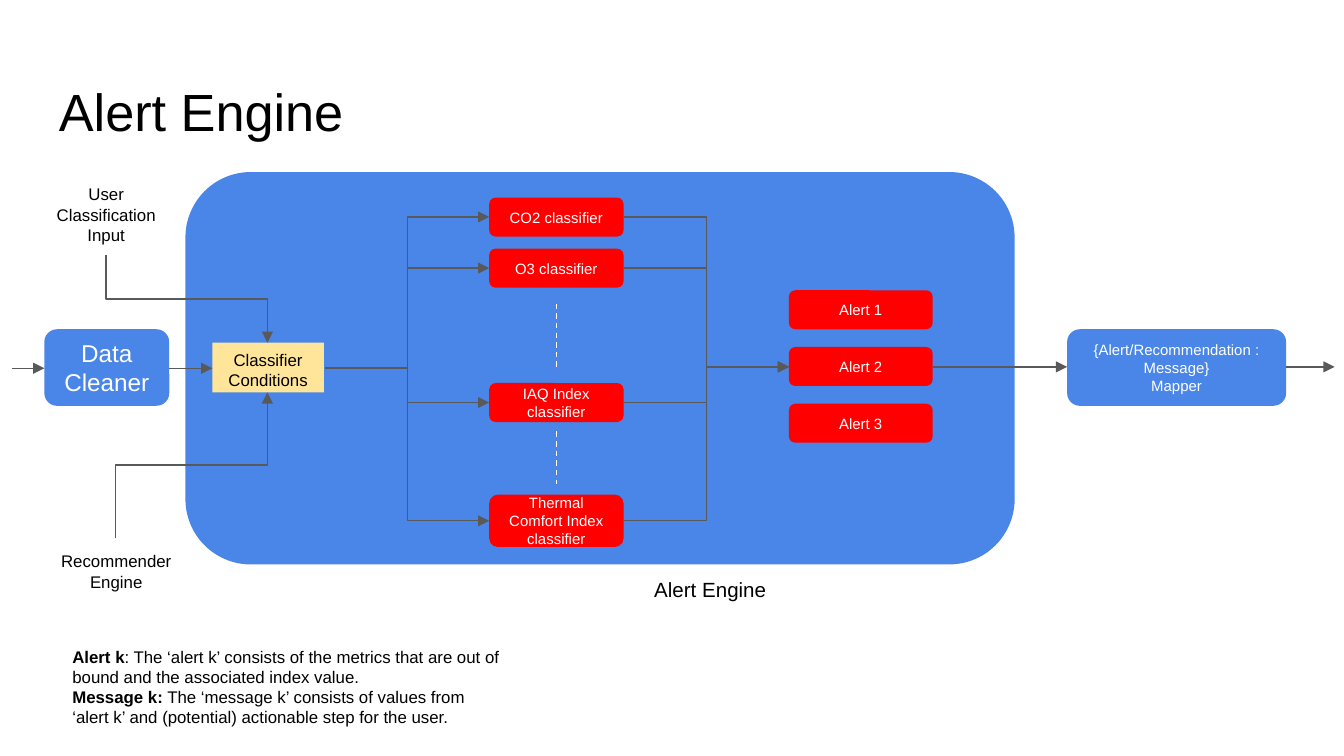
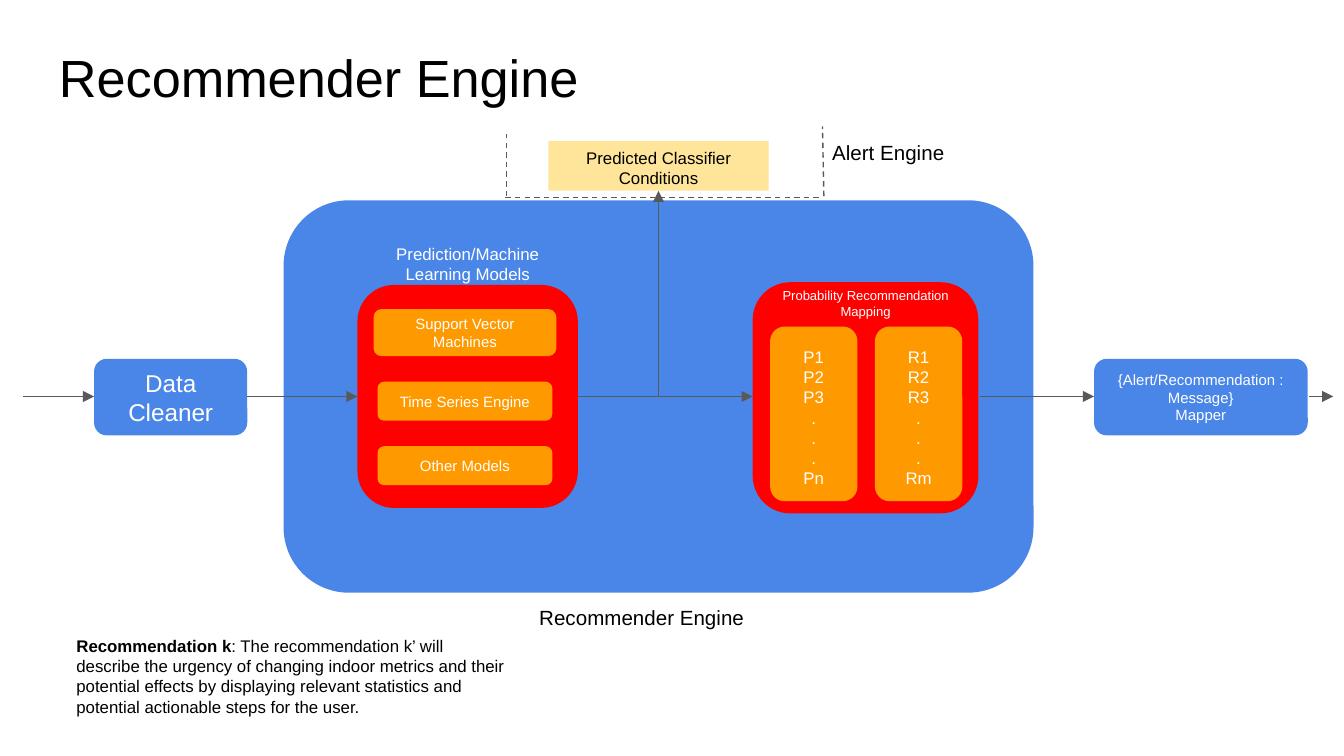
from lxml.etree import SubElement
from pptx import Presentation
from pptx.dml.color import RGBColor
from pptx.enum.dml import MSO_LINE
from pptx.enum.shapes import MSO_CONNECTOR as Connector, MSO_SHAPE as Shape
from pptx.enum.text import MSO_ANCHOR as Anchor, PP_ALIGN as Align
from pptx.oxml.ns import qn
from pptx.util import Inches, Pt

COLUMNS, ROWS = 100, 56.25
CELL = Inches(10) / COLUMNS
FONT = "Arial"
BLUE, RED, ORANGE, CREAM = "4A86E8", "FF0000", "FF9900", "FFE599"
GREY, WHITE, BLACK = "595959", "FFFFFF", "000000"
MAPPER = ["{Alert/Recommendation : Message}", "Mapper"]


def color(code):
    return RGBColor.from_string(code)


def cells(*counts):
    return [round(count * CELL) for count in counts]


def apply(target, formats):
    for name, value in formats.items():
        setattr(target, name, value)


def write(shape, paras, size, ink, align=Align.CENTER, anchor=Anchor.TOP, pad=1):
    side, edge = cells(1, pad)
    frame = shape.text_frame
    apply(frame, {"word_wrap": True, "vertical_anchor": anchor,
                  "margin_left": side, "margin_right": side,
                  "margin_top": edge, "margin_bottom": edge})
    for index, content in enumerate(paras):
        para = frame.paragraphs[0] if index == 0 else frame.add_paragraph()
        para.alignment = align
        lead, rest = content if isinstance(content, tuple) else ("", content)
        for words, bold in ((lead, True), (rest, False)):
            if words:
                span = para.add_run()
                span.text = words
                apply(span.font, {"name": FONT, "size": Pt(size), "bold": bold})
                span.font.color.rgb = color(ink)


def add_label(page, area, paras, size=9, ink=BLACK, align=Align.CENTER):
    write(page.shapes.add_textbox(*cells(*area)), paras, size, ink, align)


def add_box(canvas, area, fill, paras=(), size=8, ink=WHITE,
            kind=Shape.ROUNDED_RECTANGLE, anchor=Anchor.MIDDLE, pad=1):
    box = canvas.shapes.add_shape(kind, *cells(*area))
    box.shadow.inherit = False
    box.fill.solid()
    box.fill.fore_color.rgb = color(fill)
    box.line.fill.background()
    write(box, paras, size, ink, anchor=anchor, pad=pad)


def add_conditions(page, area, paras):
    add_box(page, area, CREAM, paras, 9, BLACK, Shape.RECTANGLE, Anchor.TOP, 0.5)


def add_line(page, start, end, kind=Connector.STRAIGHT, ink=GREY, dashed=False):
    line = page.shapes.add_connector(kind, *cells(*start, *end))
    line.line.color.rgb = color(ink)
    line.line.width = Pt(0.75)
    properties = line.element.spPr
    if dashed:
        line.line.dash_style = MSO_LINE.DASH
    else:
        SubElement(properties.find(qn("a:ln")), qn("a:tailEnd"), type="triangle")
    SubElement(properties, qn("a:effectLst"))
    return line


def add_elbow(page, start, end):
    return add_line(page, start, end, Connector.ELBOW)


def add_upright_elbow(page, start, end):
    middle, center = (start[0] + end[0]) / 2, (start[1] + end[1]) / 2
    run, rise = (end[0] - start[0]) / 2, (end[1] - start[1]) / 2
    line = add_elbow(page, (middle + rise, center - run), (middle - rise, center + run))
    line.element.spPr.find(qn("a:xfrm")).set("rot", str(270 * 60000))


def add_corner(page, start, end):
    line = add_elbow(page, start, end)
    line.element.spPr.find(qn("a:prstGeom")).set("prst", "bentConnector2")


def add_page(deck, title, top, panel, caption, note, note_area):
    page = deck.slides.add_slide(deck.slide_layouts[6])
    add_label(page, (3.4, top, 93.2, 6.3), [title], 28, align=Align.LEFT)
    add_box(page, panel, BLUE)
    add_label(page, caption, [title], 11)
    add_label(page, note_area, note, align=Align.LEFT)
    return page


def add_ends(page, cleaner, mapper):
    add_box(page, cleaner, BLUE, ["Data Cleaner"], 13)
    add_box(page, mapper, BLUE, MAPPER)


def build_alert_page(deck):
    page = add_page(
        deck, "Alert Engine", 4.9, (13.8, 12.8, 61.7, 29.2), (46.6, 42, 12.5, 3.9),
        [("Alert k", ": The ‘alert k’ consists of the metrics that are out of bound "
          "and the associated index value."),
         ("Message k:", " The ‘message k’ consists of values from ‘alert k’ and "
          "(potential) actionable step for the user.")],
        (4.4, 47.1, 34, 8.1))
    flow, alert_flow = 27.4, 27.3
    classifiers = [("CO2 classifier", 14.7, 2.9), ("O3 classifier", 18.5, 2.9),
                   ("IAQ Index classifier", 28.5, 2.9),
                   ("Thermal Comfort Index classifier", 36.8, 3.9)]
    for name, top, height in classifiers:
        add_box(page, (36.4, top, 10, height), RED, [name])
        center = top + height / 2
        add_elbow(page, (24.2, flow), (36.4, center))
        add_elbow(page, (46.4, center), (58.7, alert_flow))
    for top, bottom in ((22.6, 27.3), (32.1, 36)):
        add_line(page, (41.4, top), (41.4, bottom), ink=WHITE, dashed=True)
    for index in range(3):
        add_box(page, (58.7, 21.6 + 4.22 * index, 10.7, 2.9), RED, [f"Alert {index + 1}"])
    add_ends(page, (3.3, 24.5, 9.3, 5.7), (79.4, 24.5, 16.3, 5.7))
    add_conditions(page, (15.8, 25.5, 8.3, 3.7), ["Classifier", "Conditions"])
    add_label(page, (2.9, 12.7, 10, 6.3), ["User Classification Input"])
    add_label(page, (3.3, 40, 10.7, 5), ["Recommender Engine"])
    add_upright_elbow(page, (7.9, 19), (19.9, 25.5))
    add_upright_elbow(page, (8.6, 40), (19.9, 29.2))
    for left, right, row in ((0.9, 3.3, flow), (12.6, 15.8, flow),
                             (69.4, 79.4, alert_flow), (95.7, 99.3, alert_flow)):
        add_line(page, (left, row), (right, row))


def add_value_column(page, left, letter, last):
    group = page.shapes.add_group_shape()
    values = [f"{letter}{number}" for number in (1, 2, 3)] + ["."] * 3 + [letter + last]
    add_box(group, (left, 24.3, 6.5, 13), ORANGE)
    add_box(group, (left + 0.45, 24.8, 5.6, 11.8), ORANGE, values, 9,
            kind=Shape.RECTANGLE, anchor=Anchor.TOP)


def build_recommender_page(deck):
    page = add_page(
        deck, "Recommender Engine", 2.4, (21.1, 14.9, 55.8, 29.2), (38.8, 44.1, 17.9, 3.9),
        [("Recommendation k", ": The recommendation k’ will describe the urgency of "
          "changing indoor metrics and their potential effects by displaying relevant "
          "statistics and potential actionable steps for the user.")],
        (4.7, 46.3, 34.1, 8.1))
    flow = 29.5
    add_ends(page, (7, 26.7, 11.4, 5.7), (81.4, 26.7, 15.9, 5.7))
    add_box(page, (56, 21, 16.8, 17.2), RED)
    add_value_column(page, 57.3, "P", "n")
    add_value_column(page, 65.1, "R", "m")
    add_label(page, (56, 20.4, 16.8, 3.5), ["Probability Recommendation Mapping"], 7, WHITE)
    add_box(page, (26.6, 21.2, 16.4, 16.6), RED)
    add_box(page, (27.8, 23, 13.6, 3.5), ORANGE, ["Support Vector Machines"])
    for name, top in (("Time Series Engine", 28.4), ("Other Models", 33.2)):
        add_box(page, (28.1, top, 13, 2.9), ORANGE, [name])
    add_label(page, (26.6, 17.1, 16.4, 3.9), ["Prediction/Machine Learning Models"], 9, WHITE)
    add_conditions(page, (40.8, 10.5, 16.4, 3.7), ["Predicted Classifier", "Conditions"])
    for left, right in ((1.7, 7), (18.4, 26.6), (43, 56), (72.9, 81.4), (97.4, 99.2)):
        add_line(page, (left, flow), (right, flow))
    add_corner(page, (43, flow), (49, 14.2))
    for start, end in (((37.6, 14.7), (61.1, 14.7)), ((37.7, 14.6), (37.7, 10)),
                       ((61.3, 14.6), (61.2, 9.4))):
        add_line(page, start, end, dashed=True)
    add_label(page, (60.4, 9.5, 11.4, 2.9), ["Alert Engine"], 11)


def main():
    deck = Presentation()
    deck.slide_width, deck.slide_height = cells(COLUMNS, ROWS)
    build_alert_page(deck)
    build_recommender_page(deck)
    deck.save("out.pptx")


if __name__ == "__main__":
    main()
